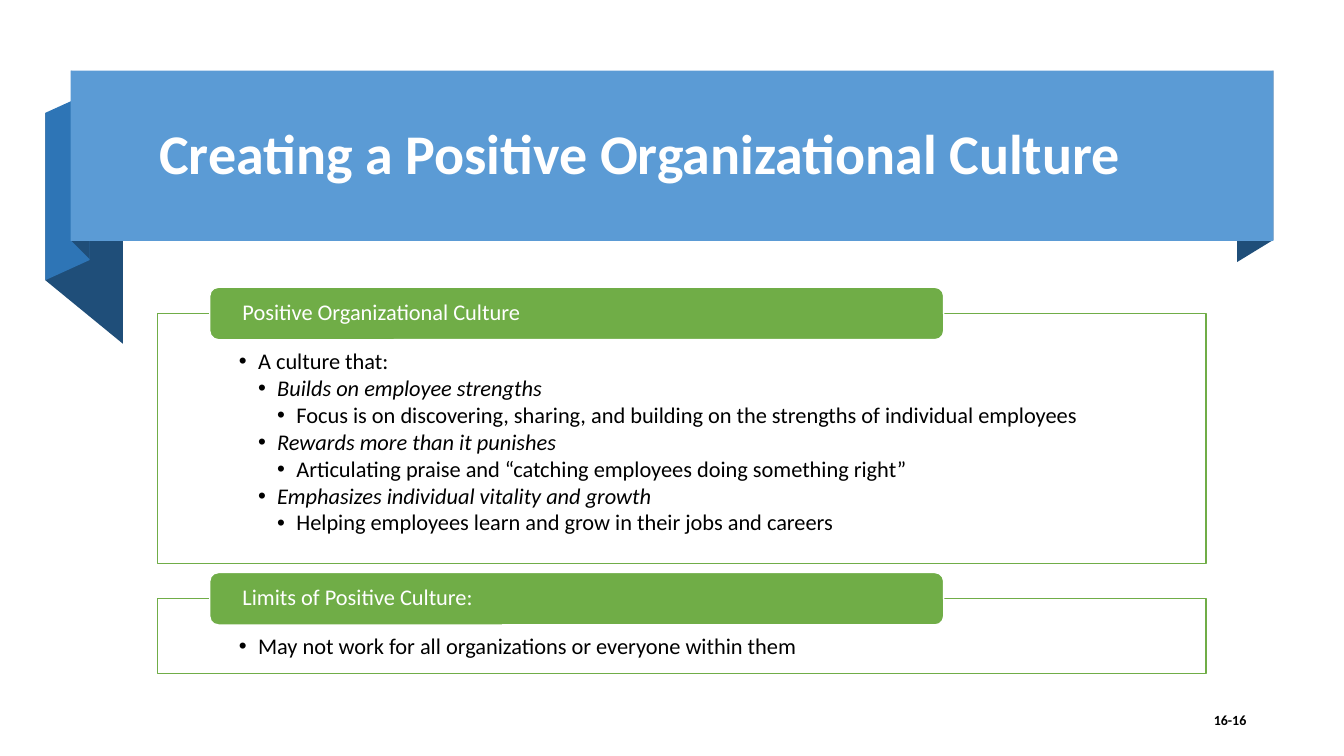
from lxml import etree
from pptx import Presentation
from pptx.dml.color import RGBColor
from pptx.enum.shapes import MSO_SHAPE
from pptx.enum.text import MSO_ANCHOR, MSO_AUTO_SIZE, PP_ALIGN
from pptx.oxml.ns import qn
from pptx.util import Pt

RECT, ROUND_RECT = MSO_SHAPE.RECTANGLE, MSO_SHAPE.ROUNDED_RECTANGLE
TOP, MIDDLE = MSO_ANCHOR.TOP, MSO_ANCHOR.MIDDLE
LEFT, RIGHT = PP_ALIGN.LEFT, PP_ALIGN.RIGHT

# Content: list items are (level, text)
TITLE = "Creating a Positive Organizational Culture"
PAGE = "16-16"
PANELS = [
    {"heading": "Positive Organizational Culture", "top": 311, "height": 248,
     "items": [
         (0, "A culture that:"),
         (1, "Builds on employee strengths"),
         (2, "Focus is on discovering, sharing, and building on the strengths of individual employees"),
         (1, "Rewards more than it punishes"),
         (2, "Articulating praise and “catching employees doing something right”"),
         (1, "Emphasizes individual vitality and growth"),
         (2, "Helping employees learn and grow in their jobs and careers"),
     ]},
    {"heading": "Limits of Positive Culture:", "top": 594, "height": 74,
     "items": [(0, "May not work for all organizations or everyone within them")]},
]

# Theme
THEME = {
    "font": "Calibri", "title": 40, "body": 16, "page": 10,
    "white": "FFFFFF", "black": "000000", "green": "70AD47",
    "blue": "5B9BD5", "mid": "2E75B6", "dark": "1F4E79",
}

# Geometry in px, 100 px to the inch
PX = 9144
RIBBON = (70, 70, 1193, 169)
FOLDS = [
    ("dark", [(1263, 238), (1227, 260), (1227, 91), (1263, 70)]),
    ("dark", [(122, 341), (45, 278), (45, 112), (122, 175)]),
    ("mid", [(89, 258), (45, 278), (45, 112), (89, 92)]),
    ("dark", [(89, 257), (71, 239), (71, 70), (89, 89)]),
]
TITLE_BOX = (148, 83, 1094, 145)
PAGE_BOX = (1171, 698, 75, 35)
PANEL_X, PANEL_W = 156, 1040
TAB_DX, TAB_W, TAB_H = 52, 728, 52
INDENT = 19


def emu(*px):
    return [v * PX for v in px]


def rgb(name):
    return RGBColor.from_string(THEME[name])


def place(sp, box):
    sp.left, sp.top, sp.width, sp.height = emu(*box)


def paint(sp, fill, line=None):
    sp.shadow.inherit = False
    sp.fill.solid()
    sp.fill.fore_color.rgb = rgb(fill)
    if line:
        sp.line.color.rgb = rgb(line)
        sp.line.width = Pt(1)
    else:
        sp.line.fill.background()


def frame(sp, anchor, insets):
    tf = sp.text_frame
    tf.word_wrap = True
    tf.auto_size = MSO_AUTO_SIZE.NONE
    tf.vertical_anchor = anchor
    tf.margin_left, tf.margin_top, tf.margin_right, tf.margin_bottom = emu(*insets)
    return tf


def write(p, text, size, color, align=LEFT, bold=False, italic=False):
    p.text = text
    p.alignment = align
    p.line_spacing = 0.9
    p.space_before = Pt(0)
    font = p.runs[0].font
    font.name, font.size = THEME["font"], Pt(THEME[size])
    font.bold, font.italic = bold, italic
    font.color.rgb = rgb(color)


def add_bullet(p, level):
    p.level = level
    pPr = p._p.get_or_add_pPr()
    pPr.set("marL", str(INDENT * (level + 1) * PX))
    pPr.set("indent", str(-INDENT * PX))
    etree.SubElement(pPr, qn("a:buFont")).set("typeface", "Arial")
    etree.SubElement(pPr, qn("a:buChar")).set("char", "•")


def add_panel(shapes, body, panel):
    # Outlined list
    place(body, (PANEL_X, panel["top"], PANEL_W, panel["height"]))
    paint(body, "white", "green")
    tf = frame(body, TOP, (81, 36, 81, 12))
    for i, (level, text) in enumerate(panel["items"]):
        p = tf.add_paragraph() if i else tf.paragraphs[0]
        add_bullet(p, level)
        write(p, text, "body", "black", italic=level == 1)
        p.space_after = Pt(2)
    # Heading tab centred on the top edge
    tab = shapes.add_shape(ROUND_RECT, *emu(
        PANEL_X + TAB_DX, panel["top"] - TAB_H // 2, TAB_W, TAB_H))
    paint(tab, "green", "white")
    tf = frame(tab, MIDDLE, (30, 0, 30, 0))
    write(tf.paragraphs[0], panel["heading"], "body", "white")


def main():
    prs = Presentation()
    prs.slide_width, prs.slide_height = emu(1333, 750)
    slide = prs.slides.add_slide(prs.slide_layouts[3])
    shapes = slide.shapes
    title, *bodies = slide.placeholders

    # Folded ribbon
    for color, points in FOLDS:
        builder = shapes.build_freeform(*points[0], scale=PX)
        builder.add_line_segments(points[1:], close=True)
        paint(builder.convert_to_shape(), color)
    paint(shapes.add_shape(RECT, *emu(*RIBBON)), "blue")

    # Title, raised above the ribbon
    place(title, TITLE_BOX)
    tf = frame(title, MIDDLE, (10, 5, 10, 5))
    write(tf.paragraphs[0], TITLE, "title", "white", bold=True)
    shapes._spTree.append(title._element)

    # Panels
    for body, panel in zip(bodies, PANELS):
        add_panel(shapes, body, panel)

    # Page number
    page = shapes.add_textbox(*emu(*PAGE_BOX))
    tf = frame(page, MIDDLE, (10, 5, 10, 5))
    write(tf.paragraphs[0], PAGE, "page", "black", RIGHT, bold=True)

    prs.save("out.pptx")


if __name__ == "__main__":
    main()
